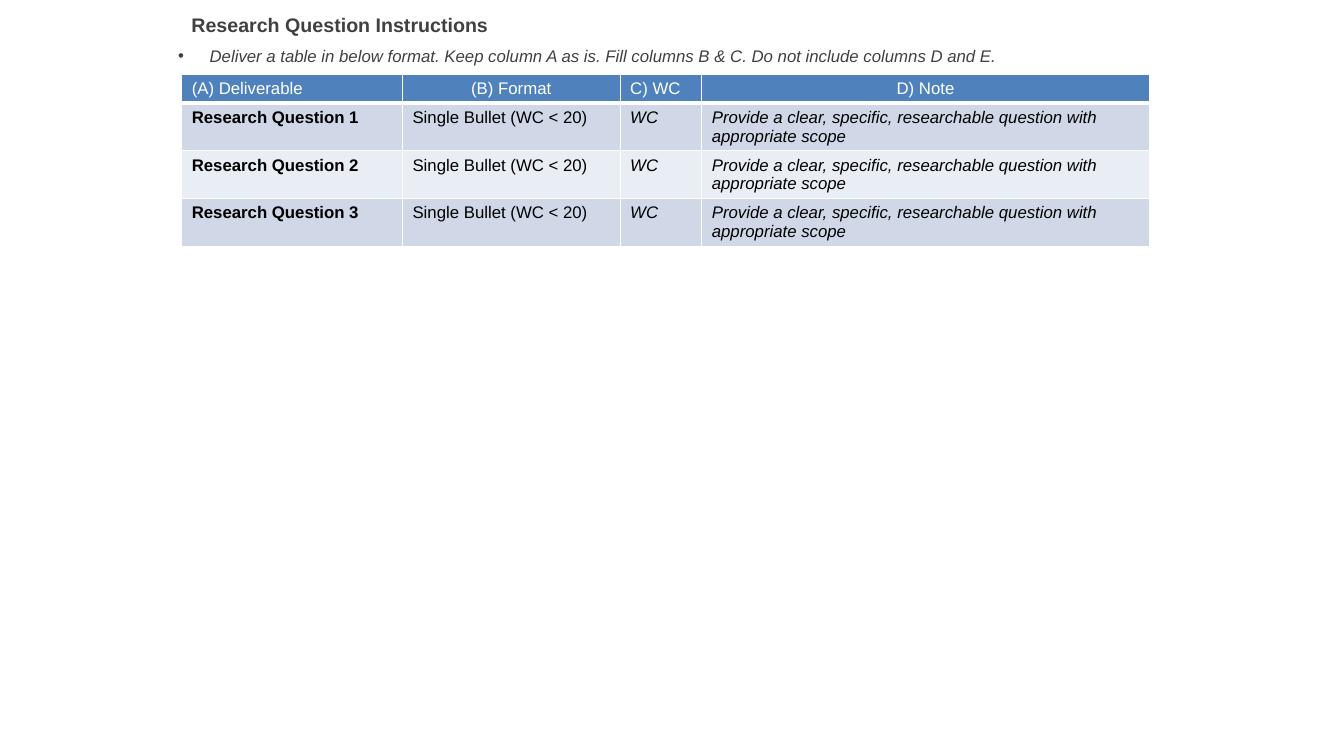
from lxml.etree import SubElement
from pptx import Presentation
from pptx.dml.color import RGBColor
from pptx.enum.text import PP_ALIGN
from pptx.oxml import parse_xml
from pptx.oxml.ns import nsdecls, qn
from pptx.util import Pt

TITLE = "Research Question Instructions"
INSTRUCTION = ("Deliver a table in below format. Keep column A as is. "
               "Fill columns B & C. Do not include columns D and E.")
HEADERS = ["(A) Deliverable", "(B) Format", "C) WC", "D) Note"]
QUESTIONS = ["Research Question 1", "Research Question 2", "Research Question 3"]
ANSWER = ["Single Bullet (WC < 20)", "WC",
          "Provide a clear, specific, researchable question with appropriate scope"]
COLUMN_WIDTHS = [157.7, 155.5, 58.3, 319.7]
HEADER_HEIGHT, ROW_HEIGHT = 20.2, 34
HEADER_FILL, BANDS = "4F81BD", ["D0D8E8", "E9EDF4"]
CENTERED_HEADERS = {1, 3}
ITALIC_COLUMNS = {2, 3}


def color(hex_value):
    return RGBColor.from_string(hex_value)


def add_span(para, text, size, hex_value, bold=False, italic=False):
    span = para.add_run()
    span.text = text
    font = span.font
    font.name, font.size, font.bold, font.italic = "Arial", Pt(size), bold, italic
    font.color.rgb = color(hex_value)


def add_box(page, left, top, width, height):
    box = page.shapes.add_textbox(Pt(left), Pt(top), Pt(width), Pt(height))
    box.text_frame.word_wrap = True
    return box.text_frame.paragraphs[0]


def set_borders(cell, top, bottom):
    properties = cell._tc.get_or_add_tcPr()
    sides = [("L", 1), ("R", 1), ("T", top), ("B", bottom)]
    for place, (side, width) in enumerate(sides):
        properties.insert(place, parse_xml(
            f'<a:ln{side} {nsdecls("a")} w="{Pt(width)}"><a:solidFill>'
            f'<a:srgbClr val="FFFFFF"/></a:solidFill></a:ln{side}>'))


def add_questions_table(page):
    rows = [HEADERS] + [[question] + ANSWER for question in QUESTIONS]
    heights = [HEADER_HEIGHT] + [ROW_HEIGHT] * len(QUESTIONS)
    table = page.shapes.add_table(
        len(rows), len(HEADERS), Pt(129.8), Pt(52.9),
        Pt(sum(COLUMN_WIDTHS)), Pt(sum(heights))).table
    for column, width in zip(table.columns, COLUMN_WIDTHS):
        column.width = Pt(width)
    for r, (texts, height) in enumerate(zip(rows, heights)):
        table.rows[r].height = Pt(height)
        header = r == 0
        for c, text in enumerate(texts):
            cell = table.cell(r, c)
            cell.fill.solid()
            cell.fill.fore_color.rgb = color(HEADER_FILL if header else BANDS[(r - 1) % 2])
            set_borders(cell, top=3 if r == 1 else 1, bottom=3 if header else 1)
            para = cell.text_frame.paragraphs[0]
            if header and c in CENTERED_HEADERS:
                para.alignment = PP_ALIGN.CENTER
            add_span(para, text, 12, "FFFFFF" if header else "000000",
                     bold=not header and c == 0,
                     italic=not header and c in ITALIC_COLUMNS)


deck = Presentation()
deck.slide_width, deck.slide_height = Pt(960), Pt(540)
page = deck.slides.add_slide(deck.slide_layouts[6])

add_questions_table(page)
add_span(add_box(page, 129.6, 5.8, 603.4, 19.4), TITLE, 14, "404040", bold=True)

bullet = add_box(page, 120.2, 28.8, 638.6, 20.9)
properties = bullet._p.get_or_add_pPr()
properties.set("marL", str(Pt(22.5)))
properties.set("indent", str(-Pt(22.5)))
SubElement(properties, qn("a:buFont")).set("typeface", "Arial")
SubElement(properties, qn("a:buChar")).set("char", "•")
add_span(bullet, INSTRUCTION, 12, "404040", italic=True)

deck.save("out.pptx")
